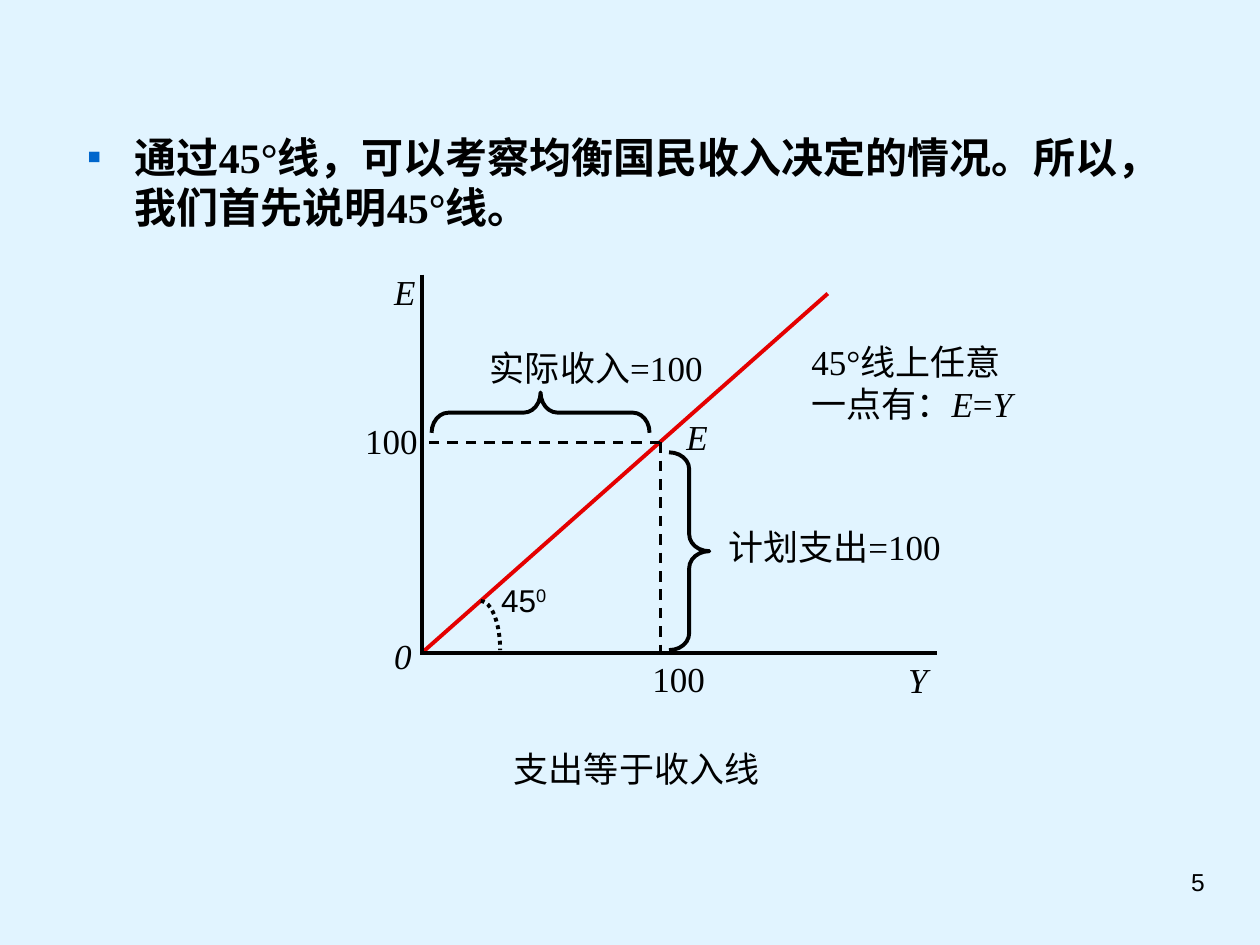
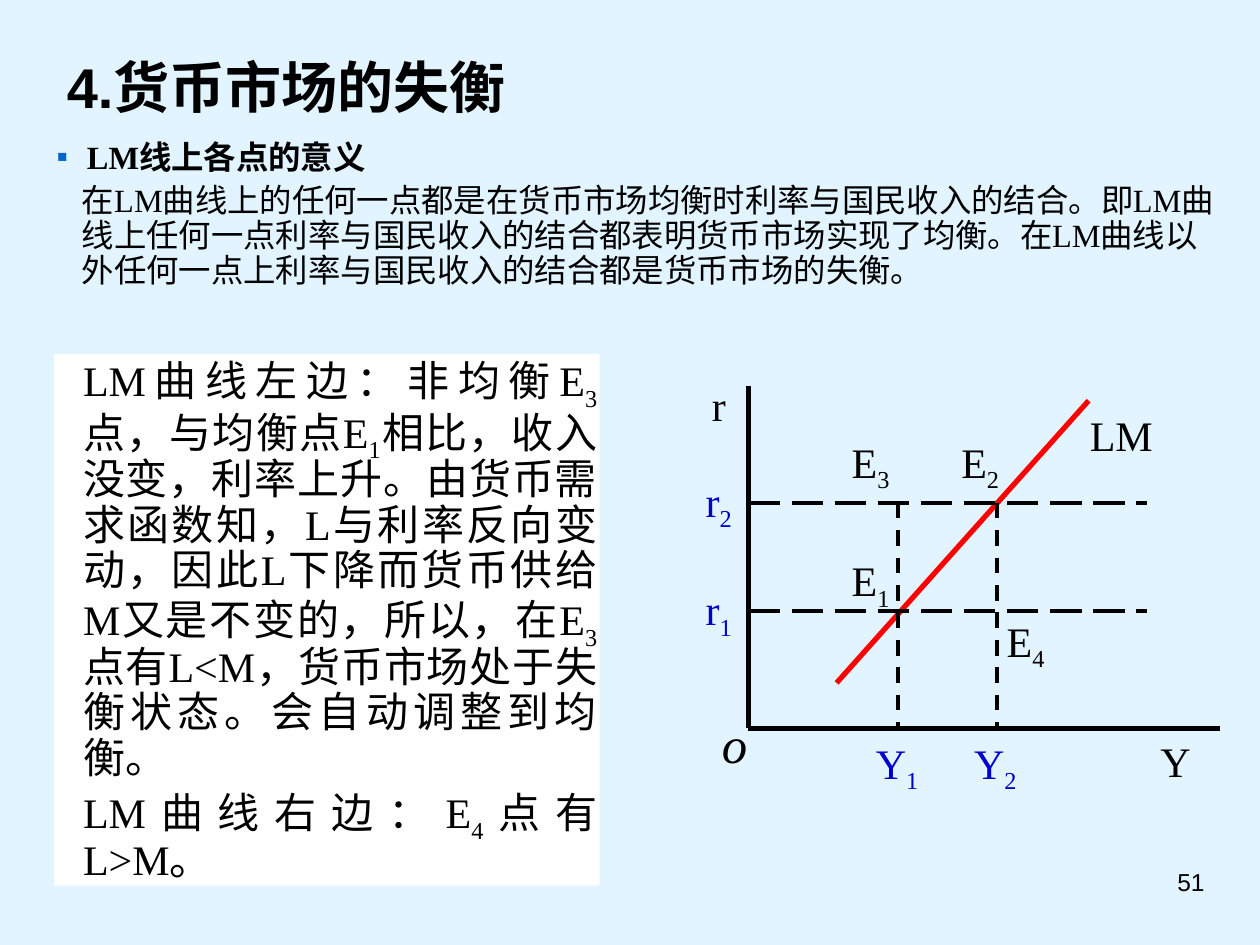
from dataclasses import dataclass
from typing import NamedTuple

from lxml import etree
from pptx import Presentation
from pptx.dml.color import RGBColor
from pptx.enum.dml import MSO_LINE
from pptx.enum.shapes import MSO_CONNECTOR, MSO_SHAPE
from pptx.enum.text import MSO_ANCHOR, MSO_AUTO_SIZE, PP_ALIGN
from pptx.oxml.ns import qn
from pptx.util import Inches, Pt

LEFT, MID, RIGHT, JUST = PP_ALIGN.LEFT, PP_ALIGN.CENTER, PP_ALIGN.RIGHT, PP_ALIGN.JUSTIFY
TOP, CENTER = MSO_ANCHOR.TOP, MSO_ANCHOR.MIDDLE
DASH, LONG, DOTS = MSO_LINE.DASH, MSO_LINE.LONG_DASH, MSO_LINE.ROUND_DOT
BLACK, WHITE, SKY = "000000", "FFFFFF", "E1F4FF"
BLUE, MARK, RED, PURE = "0000CC", "0066CC", "E40000", "FF0000"
SERIF, SANS = "Times New Roman", "Arial"
INSET = (0.1, 0.05)


class Run(NamedTuple):
    text: str
    italic: bool = False
    base: int = 0


@dataclass
class Style:
    size: float = 20
    color: str = BLACK
    font: str = SERIF
    bold: bool = False
    align: int = LEFT


@dataclass
class Para:
    runs: list
    style: Style
    margin: float = 0
    bullet: bool = False
    before: float = 0
    line: float = 1


@dataclass
class Label:
    x: float
    y: float
    w: float
    h: float
    runs: list
    style: Style
    wrap: bool = False
    anchor: int = TOP


@dataclass
class Stroke:
    start: tuple
    end: tuple
    width: float = 2.25
    color: str = BLACK
    dash: int | None = None


def paint(code: str) -> RGBColor:
    return RGBColor.from_string(code)


def mark(props, hanging: float, bullet: bool) -> None:
    props.set("marL", str(Inches(hanging)))
    props.set("indent", str(Inches(-hanging if bullet else 0)))
    props.set("hangingPunct", "0")
    if bullet:
        color = etree.SubElement(props, qn("a:buClr"))
        etree.SubElement(color, qn("a:srgbClr"), val=MARK)
        etree.SubElement(props, qn("a:buChar"), char="▪")
    else:
        etree.SubElement(props, qn("a:buNone"))


def write(frame, paras: list[Para], anchor=TOP, wrap=True, inset=INSET) -> None:
    frame.auto_size = MSO_AUTO_SIZE.NONE
    frame.word_wrap = wrap
    frame.vertical_anchor = anchor
    frame.margin_left = frame.margin_right = Inches(inset[0])
    frame.margin_top = frame.margin_bottom = Inches(inset[1])
    for i, item in enumerate(paras):
        para = frame.add_paragraph() if i else frame.paragraphs[0]
        mark(para._p.get_or_add_pPr(), item.margin, item.bullet)
        look = item.style
        para.alignment = look.align
        para.line_spacing = item.line
        para.space_before = Pt(item.before if i else 0)
        for part in item.runs:
            run = para.add_run()
            run.text = part.text
            font = run.font
            font.name, font.size = look.font, Pt(look.size)
            font.bold, font.italic = look.bold, part.italic
            font.color.rgb = paint(look.color)
            if part.base:
                run._r.get_or_add_rPr().set("baseline", str(part.base * 1000))


def place(shape, x: float, y: float, w: float, h: float) -> None:
    shape.left, shape.top, shape.width, shape.height = map(Inches, (x, y, w, h))


def tag(slide, item: Label) -> None:
    box = slide.shapes.add_textbox(*map(Inches, (item.x, item.y, item.w, item.h)))
    write(box.text_frame, [Para(item.runs, item.style)], item.anchor, item.wrap)


def rule(slide, item: Stroke) -> None:
    ends = map(Inches, item.start + item.end)
    link = slide.shapes.add_connector(MSO_CONNECTOR.STRAIGHT, *ends)
    link.line.color.rgb = paint(item.color)
    link.line.width = Pt(item.width)
    if item.dash:
        link.line.dash_style = item.dash
    etree.SubElement(link._element.spPr, qn("a:effectLst"))


def curve(slide, kind: int, x: float, y: float, w: float, h: float):
    shape = slide.shapes.add_shape(kind, *map(Inches, (x, y, w, h)))
    shape.shadow.inherit = False
    shape.fill.background()
    shape.line.color.rgb = paint(BLACK)
    shape.line.width = Pt(2.25)
    return shape


def start(deck, number: int):
    slide = deck.slides.add_slide(deck.slide_layouts[1])
    style = Style(14, font=SANS, align=RIGHT)
    tag(slide, Label(7.16, 6.83, 2.5, 0.52, [Run(str(number))], style, True))
    return slide


def sub(name: str, index: str) -> list[Run]:
    return [Run(name), Run(index, base=-25)]


def income(deck) -> None:
    slide = start(deck, 5)
    title = slide.shapes.title._element
    title.getparent().remove(title)
    body = slide.placeholders[1]
    place(body, 0.59, 0.99, 8.92, 1.02)
    text = "通过45°线，可以考察均衡国民收入决定的情况。所以，我们首先说明45°线。"
    write(body.text_frame, [Para([Run(text)], Style(24, bold=True), 0.38, True)])

    left, base, x, y = 3.35, 5.18, 5.24, 3.51
    for item in (
        Stroke((left, base), (6.57, 2.33), color=RED),
        Stroke((left, 2.18), (left, 5.2)),
        Stroke((left, base), (7.44, base)),
        Stroke((x, y), (x, base), 1.5, dash=DASH),
        Stroke((x, y), (left, y), 1.5, dash=DASH),
    ):
        rule(slide, item)

    arc = curve(slide, MSO_SHAPE.ARC, 3.66, 4.77, 0.31, 0.78)
    arc.line.dash_style = DOTS
    spend = curve(slide, MSO_SHAPE.RIGHT_BRACE, 5.31, 3.59, 0.32, 1.57)
    earn = curve(slide, MSO_SHAPE.LEFT_BRACE, 4.13, 2.41, 0.32, 1.73)
    earn.rotation = 90
    for brace in (spend, earn):
        brace.adjustments[0] = 0.42

    plain = Style()
    for px, py, w, text, italic in (
        (3.03, 2.1, 0.37, "E", True),
        (3.03, 4.99, 0.34, "0", True),
        (7.11, 5.18, 0.35, "Y", True),
        (5.35, 3.25, 0.37, "E", True),
        (3.98, 5.88, 2.15, "支出等于收入线", False),
        (5.08, 5.17, 0.61, "100", False),
        (2.8, 3.28, 0.61, "100", False),
        (5.68, 4.12, 1.95, "计划支出=100", False),
        (3.79, 2.7, 1.95, "实际收入=100", False),
    ):
        tag(slide, Label(px, py, w, 0.44, [Run(text, italic)], plain))
    note = [Run("45°线上任意一点有："), Run("E", True), Run("="), Run("Y", True)]
    tag(slide, Label(6.34, 2.65, 1.89, 0.77, note, plain, True))
    angle = [Run("45"), Run("0", base=30)]
    tag(slide, Label(3.88, 4.56, 0.56, 0.4, angle, Style(18, font=SANS)))


def money(deck) -> None:
    slide = start(deck, 51)
    title = slide.shapes.title
    place(title, 0.43, 0.37, 4.41, 0.66)
    head = Style(32, font=SANS, bold=True)
    write(title.text_frame, [Para([Run("4.货币市场的失衡")], head)])

    body = slide.placeholders[1]
    place(body, 0.35, 1.07, 9.45, 1.5)
    text = (
        "在LM曲线上的任何一点都是在货币市场均衡时利率与国民收入的结合。"
        "即LM曲线上任何一点利率与国民收入的结合都表明货币市场实现了均衡。"
        "在LM曲线以外任何一点上利率与国民收入的结合都是货币市场的失衡。"
    )
    write(body.text_frame, [
        Para([Run("LM线上各点的意义")], Style(18.5, bold=True), 0.24, True, line=0.9),
        Para([Run(text)], Style(18.5), 0.2, before=5, line=0.9),
    ])

    panel = curve(slide, MSO_SHAPE.RECTANGLE, 0.43, 2.81, 4.33, 4.22)
    panel.fill.solid()
    panel.fill.fore_color.rgb = paint(WHITE)
    panel.line.fill.background()
    above = [
        *sub("LM曲线左边：非均衡E", "3"),
        *sub("点，与均衡点E", "1"),
        *sub("相比，收入没变，利率上升。由货币需求函数知，L与利率反向变动，"
             "因此L下降而货币供给M又是不变的，所以，在E", "3"),
        Run("点有L<M，货币市场处于失衡状态。会自动调整到均衡。"),
    ]
    below = [*sub("LM曲线右边：E", "4"), Run("点有L>M。")]
    full = Style(24, align=JUST)
    paras = [Para(runs, full, 0.21, before=3, line=0.9) for runs in (above, below)]
    write(panel.text_frame, paras, inset=(0.02, 0.01))

    left, base, end = 5.94, 5.78, 9.1
    rates = {"2": 3.99, "1": 4.85}
    sums = {"1": 7.13, "2": 7.91}
    rule(slide, Stroke((left, 3.06), (left, base), 3))
    rule(slide, Stroke((left, base), (9.68, base), 3))
    rule(slide, Stroke((6.64, 5.42), (8.64, 3.18), 3, PURE))
    black, blue = Style(24, align=MID), Style(24, BLUE, align=MID)
    tags = [
        Label(9.11, 5.79, 0.44, 0.5, [Run("Y")], black),
        Label(5.55, 2.96, 0.31, 0.5, [Run("r")], black),
        Label(8.55, 3.2, 0.7, 0.5, [Run("LM")], black),
        Label(5.63, 5.6, 0.4, 0.59, [Run("o", True)], Style(29, align=MID)),
    ]
    for index, y in rates.items():
        rule(slide, Stroke((left, y), (end, y), dash=LONG))
        tags.append(Label(5.5, y - 0.27, 0.41, 0.56, sub("r", index), blue))
    for index, x in sums.items():
        rule(slide, Stroke((x, rates["2"]), (x, 5.8), dash=DASH))
        tags.append(Label(x - 0.28, 5.8, 0.54, 0.56, sub("Y", index), blue))
    for index, x, y in (("1", 6.66, 4.35), ("2", 7.53, 3.41),
                        ("3", 6.66, 3.41), ("4", 7.89, 4.83)):
        tags.append(Label(x, y, 0.5, 0.56, sub("E", index), black))
    for item in tags:
        item.anchor = CENTER
        tag(slide, item)


def main() -> None:
    deck = Presentation()
    deck.slide_width, deck.slide_height = Inches(10), Inches(7.5)
    fill = deck.slide_master.background.fill
    fill.solid()
    fill.fore_color.rgb = paint(SKY)
    income(deck)
    money(deck)
    deck.save("out.pptx")


if __name__ == "__main__":
    main()
